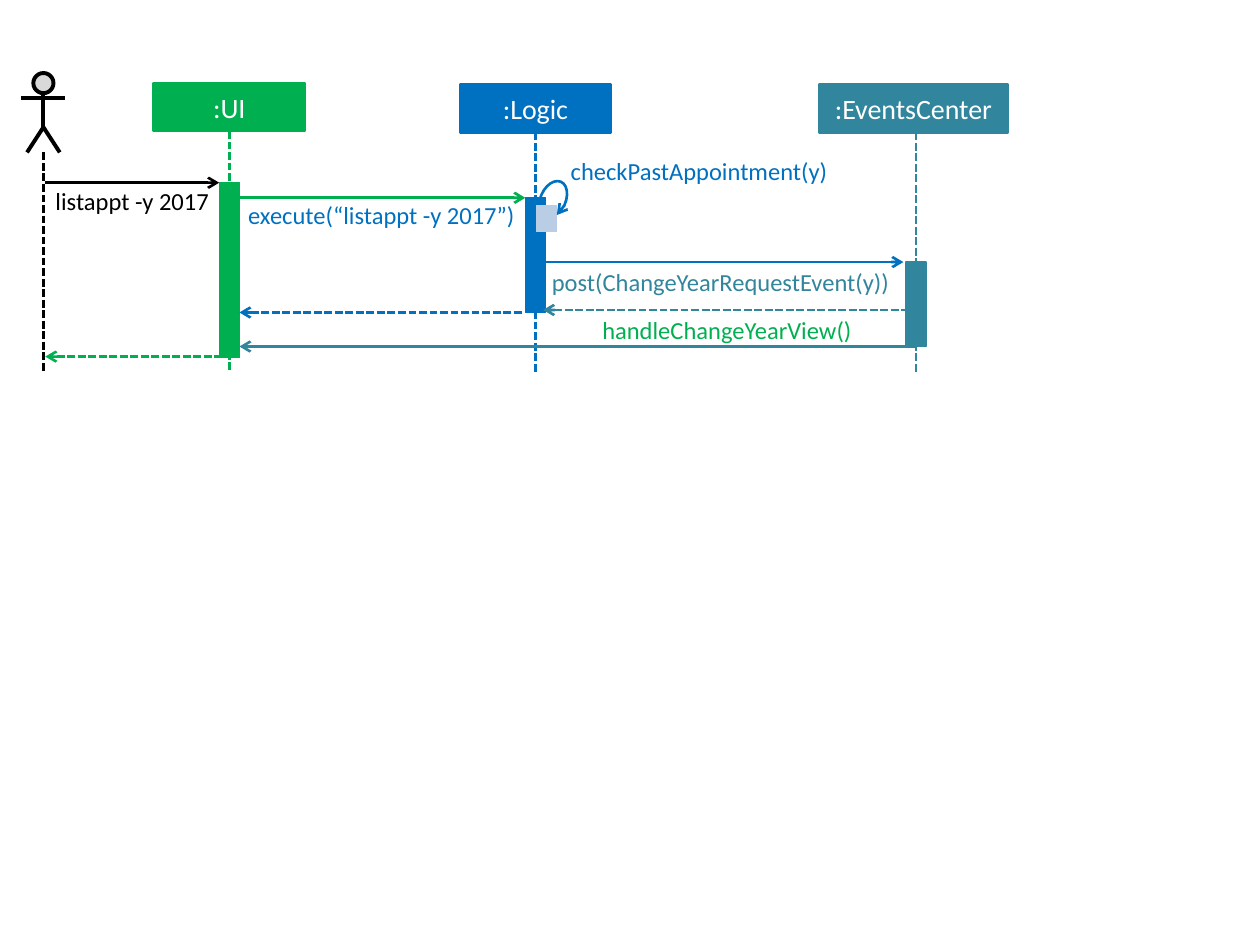
from lxml.etree import SubElement
from pptx import Presentation
from pptx.dml.color import RGBColor
from pptx.enum.dml import MSO_LINE
from pptx.enum.shapes import MSO_CONNECTOR, MSO_SHAPE
from pptx.enum.text import MSO_ANCHOR, MSO_AUTO_SIZE, PP_ALIGN
from pptx.oxml.ns import qn
from pptx.util import Inches, Pt

COLORS = {"user": "000000", "ui": "00B050", "logic": "0070C0", "events": "31859C",
          "self_call": "B9CDE5", "head": "D9D9D9", "white": "FFFFFF"}
FONT = "Calibri"
LIFELINE_END = 2.95


def rgb(name):
    return RGBColor.from_string(COLORS[name])


def style_line(line, color, width, dashed=False, **arrows):
    """Format a line; arrows maps headEnd or tailEnd to an arrowhead type."""
    line.color.rgb = rgb(color)
    line.width = Pt(width)
    if dashed:
        line.dash_style = MSO_LINE.SQUARE_DOT
    ln = line._get_or_add_ln()
    for end in ("headEnd", "tailEnd"):
        if end in arrows:
            SubElement(ln, qn(f"a:{end}"), type=arrows[end])


def add_line(shapes, start, end, color, width=1.5, dashed=False, **arrows):
    cxn = shapes.add_connector(MSO_CONNECTOR.STRAIGHT, *map(Inches, start + end))
    style_line(cxn.line, color, width, dashed, **arrows)
    SubElement(cxn._element.spPr, qn("a:effectLst"))
    return cxn


def add_block(shapes, box, fill, line=None, width=0.75, kind=MSO_SHAPE.RECTANGLE):
    sp = shapes.add_shape(kind, *map(Inches, box))
    sp.shadow.inherit = False
    sp.fill.solid()
    sp.fill.fore_color.rgb = rgb(fill)
    style_line(sp.line, line or fill, width)
    return sp


def write(tf, text, size, color, align):
    p = tf.paragraphs[0]
    p.alignment = align
    r = p.add_run()
    r.text = text
    for name, value in {"name": FONT, "size": Pt(size)}.items():
        setattr(r.font, name, value)
    r.font.color.rgb = rgb(color)


def add_actor(s, box):
    x, y, w, h = box
    mid, neck, hip = x + w / 2, y + 0.16, y + 0.43
    shapes = s.shapes.add_group_shape().shapes
    add_block(shapes, (mid - 0.08, y, 0.16, 0.16), "head", "user", 2.25,
              MSO_SHAPE.FLOWCHART_CONNECTOR)
    add_line(shapes, (mid, neck), (mid, hip), "user", 2.25)
    builder = shapes.build_freeform(Inches(mid - 0.13), Inches(y + h), 1.0)
    builder.add_line_segments([(Inches(mid), Inches(hip)),
                               (Inches(mid + 0.13), Inches(y + h))], close=False)
    legs = builder.convert_to_shape()
    legs.shadow.inherit = False
    legs.fill.background()
    style_line(legs.line, "user", 2.25)
    add_line(shapes, (x, y + 0.2), (x + w, y + 0.2), "user", 2.25)
    add_line(s.shapes, (mid, y + h), (mid, LIFELINE_END), "user", dashed=True)


def add_participant(s, box, name, color, active, offset=0):
    """Header, lifeline and activation bar; active is the bar's top and bottom."""
    x, y, w, h = box
    mid = x + w / 2 + offset
    header = add_block(s.shapes, box, color, width=1.5)
    tf = header.text_frame
    tf.vertical_anchor = MSO_ANCHOR.MIDDLE
    write(tf, name, 16, "white", PP_ALIGN.CENTER)
    lifeline = add_line(s.shapes, (mid, y + h), (mid, LIFELINE_END), color, dashed=True)
    if not offset:
        lifeline.begin_connect(header, 2)
    top, bottom = active
    add_block(s.shapes, (mid - 0.08, top, 0.16, bottom - top), color)


def add_label(s, box, text, color):
    tf = s.shapes.add_textbox(*map(Inches, box)).text_frame
    settings = {"margin_left": 0, "margin_right": 0, "margin_top": 0, "margin_bottom": 0,
                "word_wrap": True, "auto_size": MSO_AUTO_SIZE.SHAPE_TO_FIT_TEXT}
    for name, value in settings.items():
        setattr(tf, name, value)
    write(tf, text, 14, color, PP_ALIGN.LEFT)


def add_self_call(s, box):
    x, y, w, h = box
    add_block(s.shapes, (x, y + h - 0.21, 0.16, 0.21), "self_call")
    arc = s.shapes.add_shape(MSO_SHAPE.ARC, *map(Inches, (x + 0.03, y, w - 0.03, 0.31)))
    arc.shadow.inherit = False
    arc.adjustments[0], arc.adjustments[1] = 100.22, 31.61
    arc.rotation = 23.7
    arc.fill.background()
    style_line(arc.line, "logic", 1.5, tailEnd="arrow")


def add_messages(s):
    calls = [(0.36, 1.74, 1.45, "user"), (1.9, 4.17, 1.57, "ui"), (4.32, 7.17, 2.08, "logic")]
    for left, right, y, color in calls:
        add_line(s.shapes, (left, y), (right, y), color, tailEnd="arrow")
    # The last of these is a call back to the UI, so its line is solid.
    replies = [(1.9, 4.15, 2.48, "logic", True), (0.36, 1.82, 2.83, "ui", True),
               (4.31, 7.33, 2.46, "events", True), (1.9, 7.26, 2.75, "events", False)]
    for left, right, y, color, dashed in replies:
        add_line(s.shapes, (left, y), (right, y), color, dashed=dashed, headEnd="arrow")
    labels = [(0.44, 1.48, 1.22, "listappt -y 2017", "user"),
              (1.97, 1.59, 2.2, "execute(“listappt -y 2017”)", "logic"),
              (4.53, 1.24, 2.07, "checkPastAppointment(y)", "logic"),
              (4.38, 2.12, 2.7, "post(ChangeYearRequestEvent(y))", "events"),
              (4.78, 2.5, 2.91, "handleChangeYearView()", "ui")]
    for x, y, w, text, color in labels:
        add_label(s, (x, y, w, 0.24), text, color)


def main():
    prs = Presentation()
    prs.slide_width, prs.slide_height = Inches(10), Inches(7.5)
    s = prs.slides.add_slide(prs.slide_layouts[6])
    add_actor(s, (0.17, 0.58, 0.35, 0.63))
    add_participant(s, (1.22, 0.66, 1.2, 0.38), ":UI", "ui", (1.45, 2.84))
    add_participant(s, (3.65, 0.67, 1.2, 0.38), ":Logic", "logic", (1.57, 2.48))
    add_participant(s, (6.5, 0.67, 1.5, 0.38), ":EventsCenter", "events", (2.08, 2.75), 0.02)
    add_self_call(s, (4.26, 1.43, 0.23, 0.41))
    add_messages(s)
    prs.save("out.pptx")


if __name__ == "__main__":
    main()
